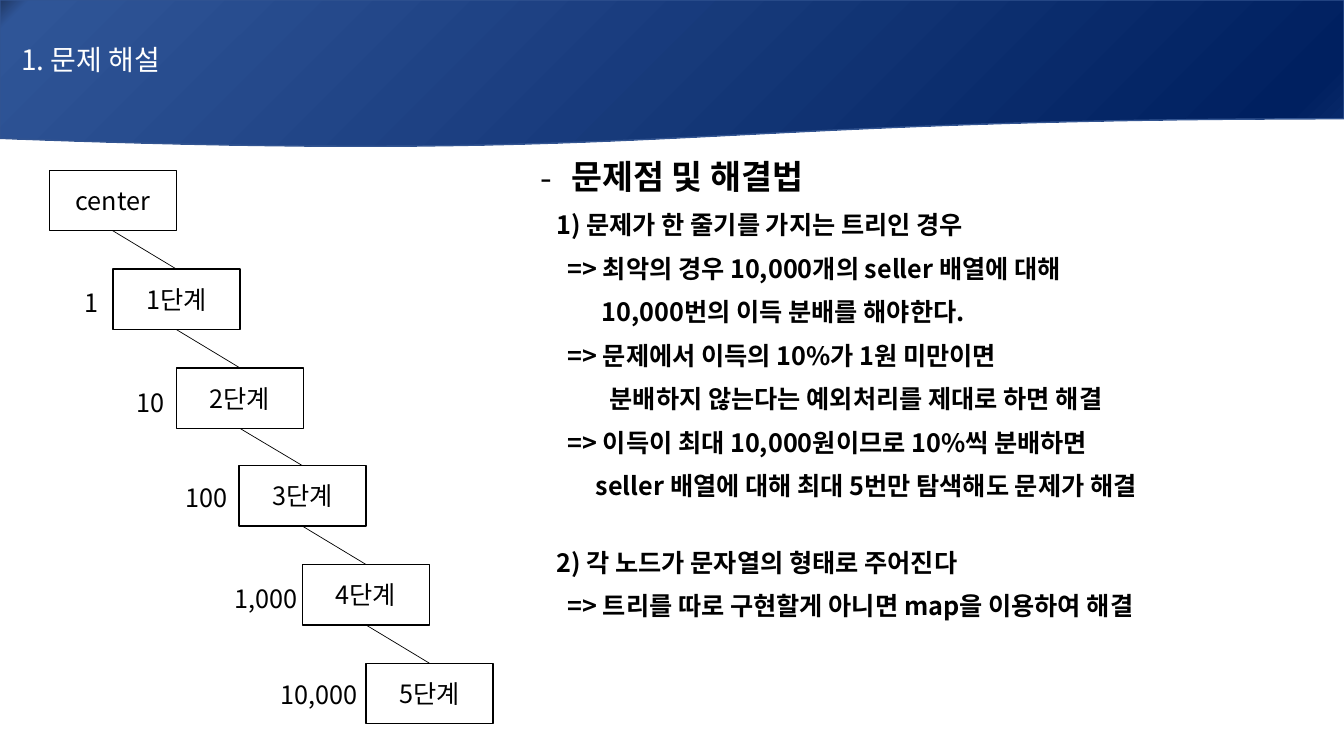
from lxml.etree import SubElement
from pptx import Presentation
from pptx.dml.color import RGBColor as RGB
from pptx.enum.shapes import MSO_CONNECTOR as LINK, MSO_SHAPE as SHAPE
from pptx.enum.text import MSO_ANCHOR as ANCHOR, MSO_AUTO_SIZE as FIT, PP_ALIGN as ALIGN
from pptx.oxml.ns import qn
from pptx.util import Pt

PX = 9144
FACE = "Noto Sans CJK KR"
HUES = {"ink": "000000", "paper": "FFFFFF", "edge": "325491"}
FADE = [(0, "203864"), (2, "2F5597"), (94, "002060"), (100, "0D2E6F")]

deck = Presentation()
deck.slide_width, deck.slide_height = 1333 * PX, 750 * PX
slide = deck.slides.add_slide(deck.slide_layouts[6])
shapes = slide.shapes


def write(para, text, size=18, hue="ink", bold=False, align=ALIGN.LEFT):
    para.text = text
    para.alignment = align
    font = para.font
    font.size, font.bold, font.name = Pt(size), bold, FACE
    font.color.rgb = RGB.from_string(HUES[hue])
    SubElement(para._p.pPr.find(qn("a:defRPr")), qn("a:ea"), typeface=FACE)


def frame(left, top, width, height):
    body = shapes.add_textbox(left * PX, top * PX, width * PX, height * PX).text_frame
    body.word_wrap = True
    body.auto_size = FIT.SHAPE_TO_FIT_TEXT
    return body


notes = [
    (31, "문제점 및 해결법"),
    (16, "1) 문제가 한 줄기를 가지는 트리인 경우"),
    (27, "=> 최악의 경우 10,000개의 seller 배열에 대해"),
    (61, "10,000번의 이득 분배를 해야한다."),
    (27, "=> 문제에서 이득의 10%가 1원 미만이면"),
    (69, "분배하지 않는다는 예외처리를 제대로 하면 해결"),
    (27, "=> 이득이 최대 10,000원이므로 10%씩 분배하면"),
    (55, "seller 배열에 대해 최대 5번만 탐색해도 문제가 해결"),
    (16, "2) 각 노드가 문자열의 형태로 주어진다"),
    (27, "=> 트리를 따로 구현할게 아니면 map을 이용하여 해결"),
]
body = frame(526, 147, 770, 477)
for row, (indent, text) in enumerate(notes):
    para = body.add_paragraph() if row else body.paragraphs[0]
    para.line_spacing = 1.07
    para.space_after = Pt(8)
    if text.startswith("2)"):
        para.space_before = Pt(23.5)
    props = para._p.get_or_add_pPr()
    props.set("marL", str(indent * PX))
    props.set("indent", str(0 if row else -indent * PX))
    if row == 0:
        SubElement(props, qn("a:buFont"), typeface=FACE)
        SubElement(props, qn("a:buChar"), char="-")
    write(para, text, 18 if row else 24, bold=True, align=ALIGN.JUSTIFY)

head = shapes.add_shape(SHAPE.FLOWCHART_DOCUMENT, 0, 0, 1333 * PX, 147 * PX)
head.shadow.inherit = False
head.fill.gradient()
head.fill.gradient_angle = 315
stops = head._element.spPr.find(qn("a:gradFill")).find(qn("a:gsLst"))
stops.clear()
for place, hue in FADE:
    stop = SubElement(stops, qn("a:gs"), pos=str(place * 1000))
    SubElement(stop, qn("a:srgbClr"), val=hue)
head.line.color.rgb = RGB.from_string(HUES["edge"])
head.line.width = Pt(1)
title = head.text_frame
title.margin_left = 21 * PX
title.vertical_anchor = ANCHOR.MIDDLE
write(title.paragraphs[0], "1. 문제 해설", 20, "paper")

last = None
for step in range(6):
    left, top = round(49 + 62.8 * step), round(169 + 97.8 * step)
    box = shapes.add_shape(SHAPE.RECTANGLE, left * PX, top * PX, 126 * PX, 60 * PX)
    box.shadow.inherit = False
    box.fill.solid()
    box.fill.fore_color.rgb = RGB.from_string(HUES["paper"])
    box.line.color.rgb = RGB.from_string(HUES["ink"])
    box.line.width = Pt(1)
    box.text_frame.vertical_anchor = ANCHOR.MIDDLE
    name = f"{step}단계" if step else "center"
    write(box.text_frame.paragraphs[0], name, align=ALIGN.CENTER)
    if last:
        link = shapes.add_connector(LINK.STRAIGHT, 0, 0, 0, 0)
        link.begin_connect(last, 2)
        link.end_connect(box, 0)
        link.line.color.rgb = RGB.from_string(HUES["ink"])
        link.line.width = Pt(0.5)
        SubElement(link._element.spPr, qn("a:effectLst"))
    last = box

gains = [(74, 280, "1"), (126, 379, "10"), (174, 474, "100"),
         (223, 574, "1,000"), (268, 669, "10,000")]
for left, top, text in gains:
    write(frame(left, top, 111, 40).paragraphs[0], text)

deck.save("out.pptx")
